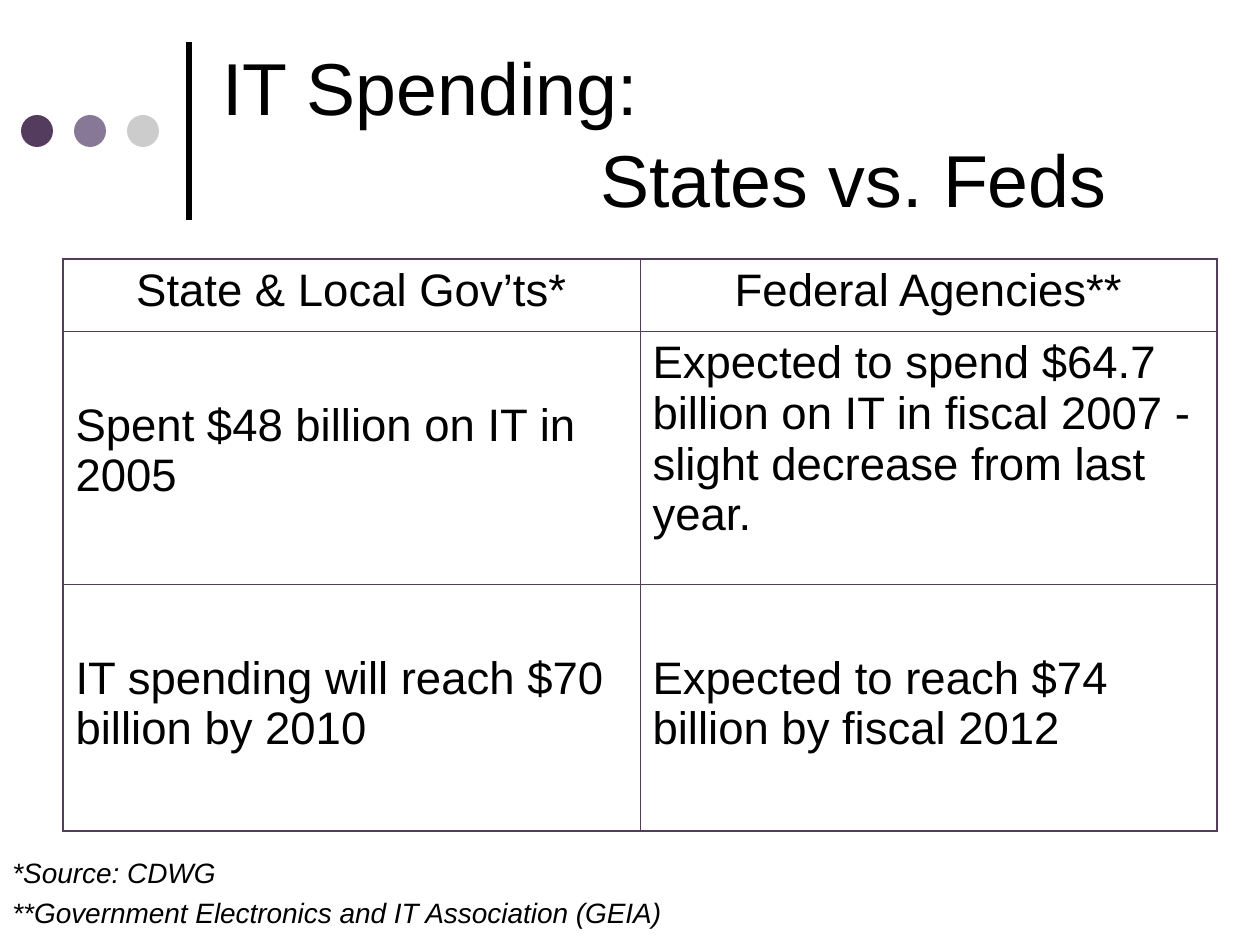
from lxml import etree
from pptx import Presentation
from pptx.dml.color import RGBColor
from pptx.enum.shapes import MSO_CONNECTOR, MSO_SHAPE
from pptx.enum.text import MSO_ANCHOR, PP_ALIGN
from pptx.oxml.ns import qn
from pptx.util import Pt

EMU_PER_PX = 914400 / 126
BLACK = RGBColor(0x00, 0x00, 0x00)
PLUM = RGBColor(0x54, 0x3C, 0x5E)
LILAC = RGBColor(0x86, 0x78, 0x96)
GREY = RGBColor(0xCC, 0xCC, 0xCC)
OVAL, STRAIGHT = MSO_SHAPE.OVAL, MSO_CONNECTOR.STRAIGHT
MIDDLE, CENTER = MSO_ANCHOR.MIDDLE, PP_ALIGN.CENTER
OUTER, INNER = Pt(1.08), Pt(0.45)


def px(*lengths):
    """Turn pixel lengths into a list of EMU values."""
    return [round(length * EMU_PER_PX) for length in lengths]


def write(frame, lines, size, gap=0, italic=False):
    """Fill a text frame with one paragraph per line, gap points apart."""
    frame.word_wrap = True
    for index, line in enumerate(lines):
        para = frame.add_paragraph() if index else frame.paragraphs[0]
        if index:
            para.space_before = Pt(gap)
        span = para.add_run()
        span.text = line
        span.font.name = "Arial"
        span.font.size = Pt(size)
        span.font.italic = italic
        span.font.color.rgb = BLACK


deck = Presentation()
deck.slide_width, deck.slide_height = px(1260, 945)
page = deck.slides.add_slide(deck.slide_layouts[6])

# Title with its rule and dots
rule = page.shapes.add_connector(STRAIGHT, *px(189, 220, 189, 42))
rule.line.color.rgb = BLACK
rule.line.width = Pt(3)
etree.SubElement(rule._element.spPr, qn("a:effectLst"))

for index, color in enumerate((PLUM, LILAC, GREY)):
    dot = page.shapes.add_shape(OVAL, *px(21 + 53 * index, 115, 32, 32))
    dot.shadow.inherit = False
    dot.fill.solid()
    dot.fill.fore_color.rgb = color
    dot.line.fill.background()

title = page.shapes.add_textbox(*px(210, 27, 966, 210)).text_frame
write(title, ["IT Spending:", "States vs. Feds"], 42, gap=2)
title.vertical_anchor = MIDDLE
title.paragraphs[1]._p.get_or_add_pPr().set("marL", str(px(378)[0]))

# Spending table
rows = [
    ("State & Local Gov’ts*", "Federal Agencies**"),
    (
        "Spent $48 billion on IT in 2005",
        "Expected to spend $64.7 billion on IT in fiscal 2007 - "
        "slight decrease from last year.",
    ),
    ("IT spending will reach $70 billion by 2010",
     "Expected to reach $74 billion by fiscal 2012"),
]
row_heights = px(72, 253, 247)
lowered_cells = {(1, 0), (2, 0), (2, 1)}
table = page.shapes.add_table(3, 2, *px(63, 259, 1154, 572)).table
table.first_row = table.horz_banding = False
for column in table.columns:
    column.width = px(577)[0]

for r, texts in enumerate(rows):
    table.rows[r].height = row_heights[r]
    for c, text in enumerate(texts):
        cell = table.cell(r, c)
        write(cell.text_frame, [text], 26)
        if r == 0:
            cell.text_frame.paragraphs[0].alignment = CENTER
        if (r, c) in lowered_cells:
            cell.margin_top = px(69)[0]
        edges = {"lnL": c == 0, "lnR": c == 1, "lnT": r == 0, "lnB": r == 2}
        properties = cell._tc.get_or_add_tcPr()
        for tag, is_outer in edges.items():
            border = etree.SubElement(properties, qn(f"a:{tag}"))
            border.set("w", str(OUTER if is_outer else INNER))
            paint = etree.SubElement(border, qn("a:solidFill"))
            etree.SubElement(paint, qn("a:srgbClr")).set("val", str(PLUM))
        cell.fill.background()

# Source notes
notes = page.shapes.add_textbox(*px(0, 849, 1197, 87)).text_frame
write(notes, ["*Source: CDWG", "**Government Electronics and IT Association (GEIA)"],
      16, gap=4, italic=True)

deck.save("out.pptx")
